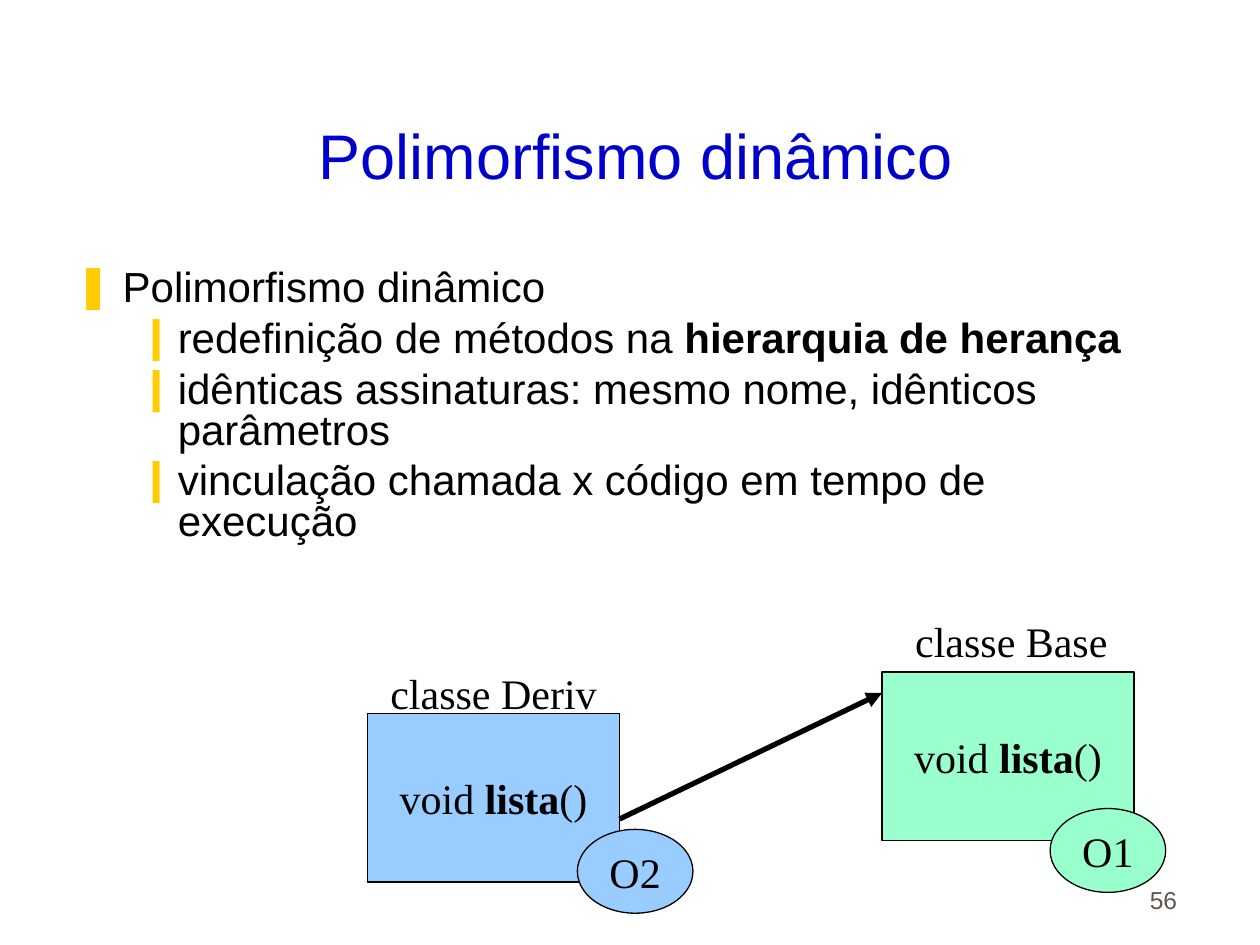
from dataclasses import dataclass

from lxml.etree import SubElement
from pptx import Presentation
from pptx.dml.color import RGBColor
from pptx.enum.shapes import MSO_CONNECTOR, MSO_SHAPE
from pptx.enum.text import MSO_ANCHOR, MSO_AUTO_SIZE, PP_ALIGN
from pptx.oxml.ns import qn
from pptx.util import Cm, Pt


@dataclass(frozen=True)
class Theme:
    title: str = "0000CC"
    ink: str = "000000"
    bullet: str = "FFCC00"
    base: str = "99FFCC"
    derived: str = "99CCFF"
    muted: str = "5E574E"
    sans: str = "Arial"
    serif: str = "Times New Roman"
    title_size: int = 36
    text_size: int = 24
    number_size: int = 14


THEME = Theme()
TITLE = "Polimorfismo dinâmico"
# Each item: level, plain text, bold ending
POINTS = [
    (0, "Polimorfismo dinâmico", ""),
    (1, "redefinição de métodos na ", "hierarquia de herança"),
    (1, "idênticas assinaturas: mesmo nome, idênticos parâmetros", ""),
    (1, "vinculação chamada x código em tempo de execução", ""),
]
# By level: character, left margin, hanging indent, line spacing
BULLETS = [("❚", Cm(0.95), Cm(0.95), 0.9), ("❙", Cm(2.06), Cm(0.79), 0.8)]


def rgb(value):
    return RGBColor.from_string(value)


def style(paragraph, face, size, color, align=PP_ALIGN.LEFT):
    paragraph.alignment = align
    font = paragraph.font
    font.name, font.size, font.color.rgb = face, Pt(size), rgb(color)


def place(shape, left, top, width, height):
    shape.left, shape.top = Cm(left), Cm(top)
    shape.width, shape.height = Cm(width), Cm(height)


def add_runs(paragraph, *pieces):
    """Add (text, bold) pieces, leaving out the empty ones."""
    for text, bold in pieces:
        if text:
            run = paragraph.add_run()
            run.text = text
            if bold:
                run.font.bold = True


def set_bullet(paragraph, level):
    character, margin, hanging, spacing = BULLETS[level]
    paragraph.level = level
    paragraph.line_spacing = spacing
    properties = paragraph._p.get_or_add_pPr()
    properties.set("marL", str(margin))
    properties.set("indent", str(-hanging))
    color = SubElement(properties, qn("a:buClr"))
    SubElement(color, qn("a:srgbClr"), val=THEME.bullet)
    SubElement(properties, qn("a:buFont"), typeface=THEME.sans)
    SubElement(properties, qn("a:buChar"), char=character)


def fill_title(title):
    place(title, 0.43, 1.27, 24.77, 2.74)
    frame = title.text_frame
    frame.text = TITLE
    frame.auto_size = MSO_AUTO_SIZE.NONE
    frame.vertical_anchor = MSO_ANCHOR.BOTTOM
    style(frame.paragraphs[0], THEME.sans, THEME.title_size, THEME.title,
          PP_ALIGN.CENTER)


def fill_points(body):
    place(body, 1.27, 5.23, 22.23, 7.75)
    frame = body.text_frame
    frame.auto_size = MSO_AUTO_SIZE.NONE
    for index, (level, plain, bold) in enumerate(POINTS):
        paragraph = frame.add_paragraph() if index else frame.paragraphs[0]
        paragraph.space_before = Pt(6 if index else 0)
        set_bullet(paragraph, level)
        style(paragraph, THEME.sans, THEME.text_size, THEME.ink)
        add_runs(paragraph, (plain, False), (bold, True))


def add_node(slide, kind, bounds, color, *pieces):
    node = slide.shapes.add_shape(kind, *map(Cm, bounds))
    node.shadow.inherit = False
    node.fill.solid()
    node.fill.fore_color.rgb = rgb(color)
    node.line.color.rgb = rgb(THEME.ink)
    node.line.width = Pt(0.75)
    frame = node.text_frame
    frame.word_wrap = False
    frame.vertical_anchor = MSO_ANCHOR.MIDDLE
    style(frame.paragraphs[0], THEME.serif, THEME.text_size, THEME.ink,
          PP_ALIGN.CENTER)
    add_runs(frame.paragraphs[0], *pieces)


def add_label(slide, bounds, text):
    label = slide.shapes.add_textbox(*map(Cm, bounds))
    frame = label.text_frame
    frame.text = text
    frame.word_wrap = False
    frame.auto_size = MSO_AUTO_SIZE.SHAPE_TO_FIT_TEXT
    style(frame.paragraphs[0], THEME.serif, THEME.text_size, THEME.ink)


def add_class(slide, left, top, color, name, label, instance, corner):
    """Draw a class box; label and corner are offsets from its top left."""
    add_node(slide, MSO_SHAPE.RECTANGLE, (left, top, 5.08, 3.39), color,
             ("void ", False), ("lista", True), ("()", False))
    add_node(slide, MSO_SHAPE.OVAL,
             (left + corner[0], top + corner[1], 2.33, 1.69), color,
             (instance, False))
    dx, dy, width = label
    add_label(slide, (left + dx, top + dy, width, 1.27), name)


def add_arrow(slide, start, end):
    arrow = slide.shapes.add_connector(
        MSO_CONNECTOR.STRAIGHT, *map(Cm, start + end))
    arrow.line.color.rgb = rgb(THEME.ink)
    arrow.line.width = Pt(3)
    SubElement(arrow.line._get_or_add_ln(), qn("a:tailEnd"), type="triangle")
    SubElement(arrow._element.spPr, qn("a:effectLst"))


def add_page_number(slide, number):
    box = slide.shapes.add_textbox(Cm(18.7), Cm(17.29), Cm(5.28), Cm(1.27))
    frame = box.text_frame
    frame.word_wrap = True
    frame.vertical_anchor = MSO_ANCHOR.BOTTOM
    frame.text = number
    style(frame.paragraphs[0], THEME.sans, THEME.number_size, THEME.muted,
          PP_ALIGN.RIGHT)


def main():
    deck = Presentation()
    deck.slide_width, deck.slide_height = Cm(25.4), Cm(19.05)
    slide = deck.slides.add_slide(deck.slide_layouts[1])
    fill_title(slide.shapes.title)
    fill_points(slide.placeholders[1])
    add_class(slide, 17.78, 13.55, THEME.base, "classe Base",
              (0.42, -1.27, 4.45), "O1", (3.39, 2.75))
    add_class(slide, 7.41, 14.39, THEME.derived, "classe Deriv",
              (0.21, -1.06, 4.7), "O2", (4.23, 2.33))
    add_arrow(slide, (12.49, 16.51), (17.78, 13.97))
    add_page_number(slide, "56")
    deck.save("out.pptx")


if __name__ == "__main__":
    main()
